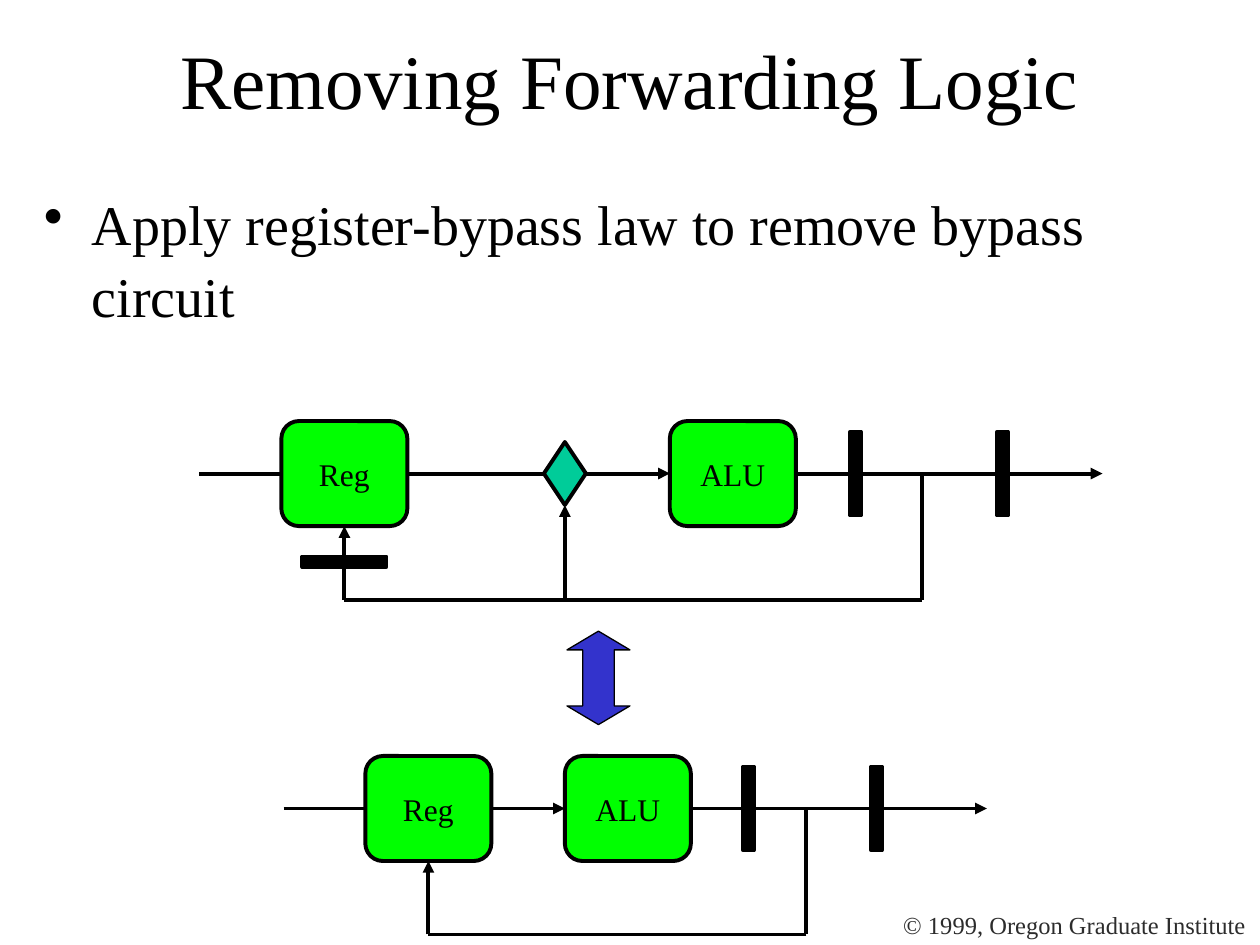
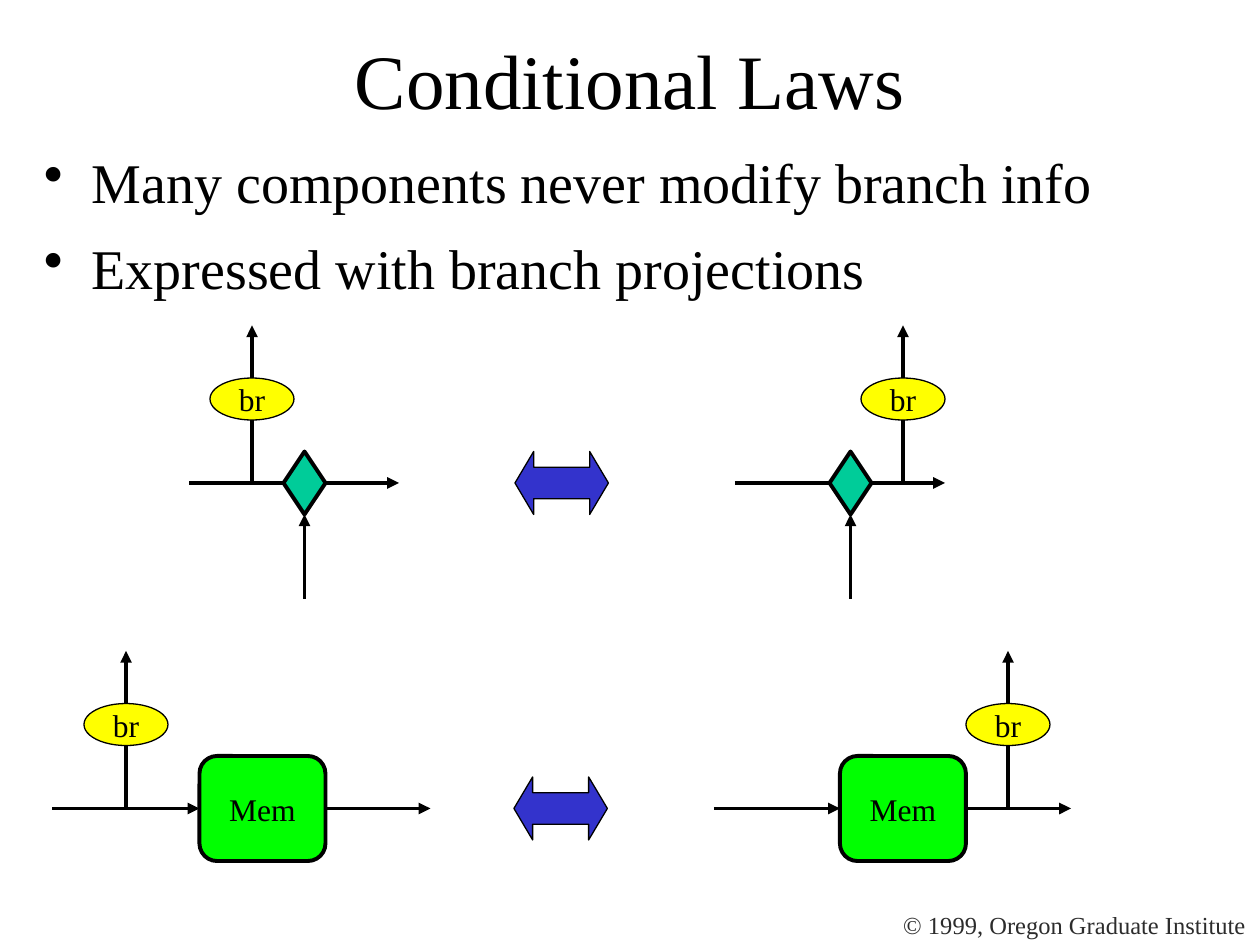
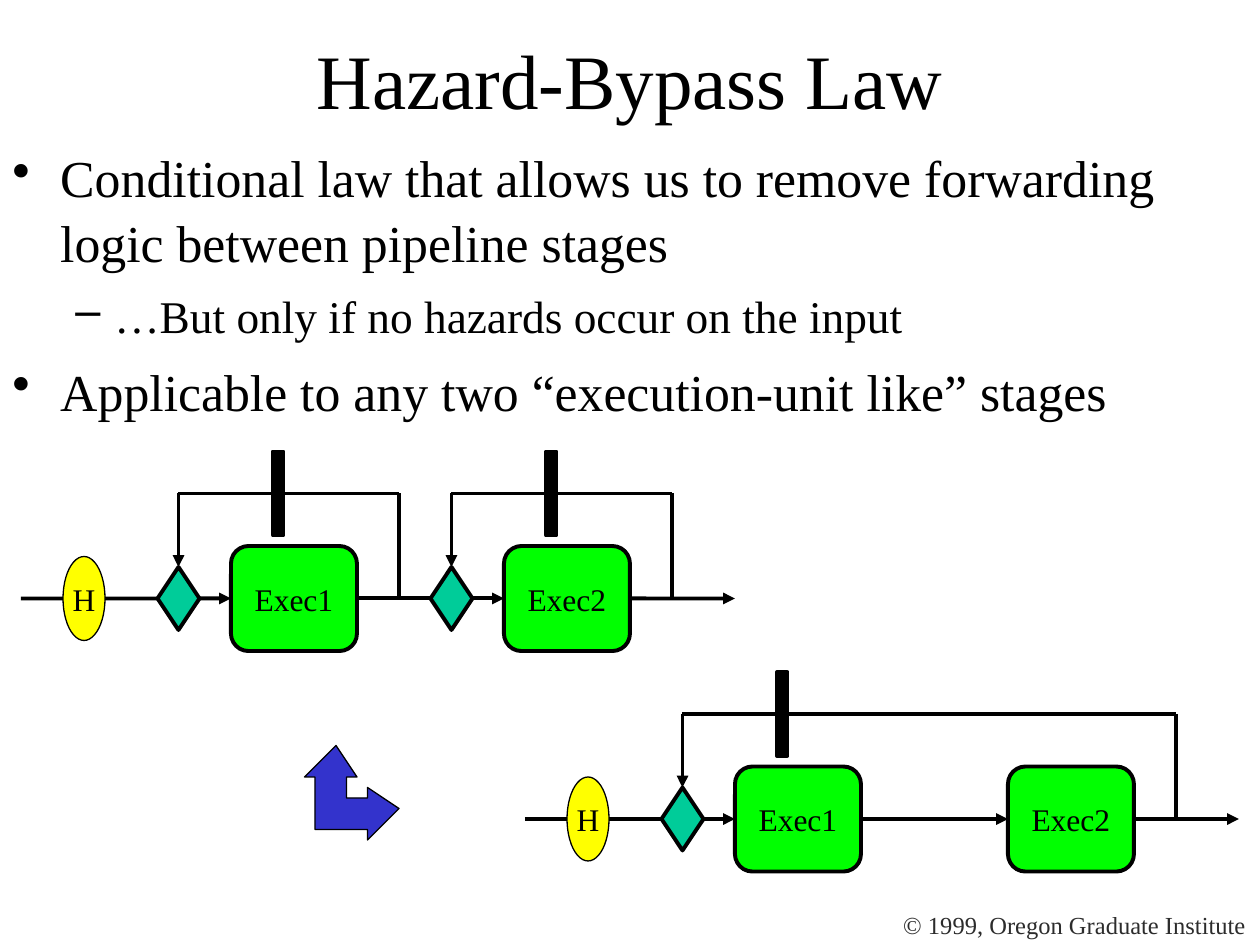
"""Build three slides on pipeline transformation laws, laid out on a 120 x 90 grid."""
from dataclasses import dataclass, field
from itertools import pairwise

from lxml import etree
from pptx import Presentation
from pptx import util as u
from pptx.dml import color
from pptx.enum import shapes, text
from pptx.oxml import ns

CELLS_PER_INCH = 12
FONT = "Times New Roman"
BLACK, GREY, GREEN, TEAL, YELLOW, BLUE = (
    "000000", "2C2C2C", "01FF01", "00CC99", "FFFF00", "3333CC")
THICK, THIN = 2.25, 0.75
PRESET = shapes.MSO_SHAPE
Point = tuple[float, float]


@dataclass(frozen=True)
class Kind:
    """Look of one kind of circuit component."""
    preset: int
    cols: float
    rows: float
    fill: str
    weight: float
    adjustments: tuple[float, ...] = ()
    has_ports: bool = False


BLOCK = Kind(PRESET.ROUNDED_RECTANGLE, 12, 10, GREEN, THICK, (0.167,), True)
MUX = Kind(PRESET.DIAMOND, 4, 6, TEAL, THICK, (), True)
LATCH = Kind(PRESET.RECTANGLE, 1, 8, BLACK, THICK)
BRANCH = Kind(PRESET.OVAL, 8, 4, YELLOW, THIN)
HAZARD = Kind(PRESET.OVAL, 4, 8, YELLOW, THIN)
EQUIVALENCE = Kind(PRESET.LEFT_RIGHT_ARROW, 8.9, 6, BLUE, THIN, (0.5, 0.297))


@dataclass(frozen=True)
class Node:
    """A component placed by its centre."""
    kind: Kind
    col: float
    row: float
    label: str = ""
    rotation: int = 0

    def ports(self) -> list[Point]:
        """Return the side middles in connection-site order."""
        dx, dy = self.kind.cols / 2, self.kind.rows / 2
        return [(self.col, self.row - dy), (self.col - dx, self.row),
                (self.col, self.row + dy), (self.col + dx, self.row)]


@dataclass(frozen=True)
class Wire:
    """A run of straight legs ending in an arrowhead."""
    points: tuple[Point, ...]


@dataclass
class Circuit:
    """Wires and the components drawn over them."""
    wires: list[Wire] = field(default_factory=list)
    nodes: list[Node] = field(default_factory=list)

    def wire(self, *points: Point) -> None:
        """Add a wire through the points."""
        self.wires.append(Wire(points))

    def stage(self, row: float, *spans: Point) -> None:
        """Add horizontal wires along one row."""
        for start, end in spans:
            self.wire((start, row), (end, row))

    def add(self, kind: Kind, row: float, *cols: float) -> None:
        """Add unlabelled components along one row."""
        self.nodes += [Node(kind, col, row) for col in cols]

    def block(self, col: float, row: float, label: str) -> None:
        """Add a labelled block."""
        self.nodes.append(Node(BLOCK, col, row, label))

    def feedback(self, source: float, target: float, row: float, level: float, port: float) -> None:
        """Lead a wire from a row through a level back to a port."""
        self.wire((source, row), (source, level), (target, level), (target, port))

    def branch_tap(self, col: float, row: float) -> None:
        """Add an upward tap with a branch projection."""
        self.wire((col, row), (col, row - 15))
        self.nodes.append(Node(BRANCH, col, row - 8, "br"))


@dataclass(frozen=True)
class Body:
    """Bulleted text with its place and sizes."""
    box: tuple[float, float, float, float]
    lines: tuple[tuple[str, int], ...]
    sizes: tuple[float, float] = (32, 28)
    spacing: float = 1.07


def rgb(hex_code: str) -> color.RGBColor:
    """Turn a hex string into a colour."""
    return color.RGBColor.from_string(hex_code)


def cells(*counts: float) -> list[u.Emu]:
    """Turn grid cells into lengths."""
    return [u.Inches(count / CELLS_PER_INCH) for count in counts]


def style_runs(paragraph, size: float, ink: str = BLACK) -> None:
    """Set font, size and colour of a paragraph's runs."""
    for run in paragraph.runs:
        run.font.name, run.font.size = FONT, u.Pt(size)
        run.font.color.rgb = rgb(ink)


def paint(shape, fill: str, weight: float) -> None:
    """Fill and outline a shape without shadow."""
    shape.shadow.inherit = False
    shape.fill.solid()
    shape.fill.fore_color.rgb = rgb(fill)
    shape.line.color.rgb = rgb(BLACK)
    shape.line.width = u.Pt(weight)


def draw_title(slide, words: str) -> None:
    """Draw the slide title."""
    frame = slide.shapes.add_textbox(*cells(9, 0, 102, 15)).text_frame
    frame.word_wrap = True
    frame.vertical_anchor = text.MSO_ANCHOR.MIDDLE
    frame.text = words
    frame.paragraphs[0].alignment = text.PP_ALIGN.CENTER
    style_runs(frame.paragraphs[0], 44)


def draw_body(slide, body: Body) -> None:
    """Draw the bulleted text."""
    frame = slide.shapes.add_textbox(*cells(*body.box)).text_frame
    frame.word_wrap = True
    frame.text = "\n".join(line for line, _ in body.lines)
    for index, (paragraph, (_, level)) in enumerate(zip(frame.paragraphs, body.lines)):
        properties = paragraph._p.get_or_add_pPr()
        margin, hanging, mark = ((0.38, 0.38, "•"), (0.81, 0.31, "–"))[level]
        properties.set("marL", str(u.Inches(margin)))
        properties.set("indent", str(-u.Inches(hanging)))
        etree.SubElement(properties, ns.qn("a:buChar")).set("char", mark)
        paragraph.level = level
        paragraph.line_spacing = body.spacing
        paragraph.space_before = u.Pt((8, 7)[level] if index else 0)
        style_runs(paragraph, body.sizes[level])


def draw_node(slide, node: Node):
    """Draw one component and return its shape."""
    kind = node.kind
    shape = slide.shapes.add_shape(kind.preset, *cells(
        node.col - kind.cols / 2, node.row - kind.rows / 2, kind.cols, kind.rows))
    paint(shape, kind.fill, kind.weight)
    shape.rotation = node.rotation
    for index, value in enumerate(kind.adjustments):
        shape.adjustments[index] = value
    if node.label:
        frame = shape.text_frame
        frame.word_wrap = False
        frame.vertical_anchor = text.MSO_ANCHOR.MIDDLE
        frame.text = node.label
        frame.paragraphs[0].alignment = text.PP_ALIGN.CENTER
        style_runs(frame.paragraphs[0], 18)
    return shape


def draw_leg(slide, start: Point, end: Point, arrow: bool):
    """Draw one straight leg of a wire."""
    leg = slide.shapes.add_connector(shapes.MSO_CONNECTOR.STRAIGHT, *cells(*start, *end))
    leg.line.color.rgb = rgb(BLACK)
    leg.line.width = u.Pt(THICK)
    if arrow:
        line = leg.line._get_or_add_ln()
        etree.SubElement(line, ns.qn("a:tailEnd")).set("type", "triangle")
    etree.SubElement(leg.element.spPr, ns.qn("a:effectLst"))
    return leg


def draw_circuit(slide, circuit: Circuit) -> None:
    """Draw wires, then components, and join their meeting ends."""
    legs = []
    for wire in circuit.wires:
        for start, end in pairwise(wire.points):
            leg = draw_leg(slide, start, end, end == wire.points[-1])
            legs.append((leg, start, end))
    ports = []
    for node in circuit.nodes:
        shape = draw_node(slide, node)
        if node.kind.has_ports:
            ports += [(port, shape, site) for site, port in enumerate(node.ports())]
    for leg, start, end in legs:
        for (col, row), shape, site in ports:
            for (x, y), connect in ((start, leg.begin_connect), (end, leg.end_connect)):
                if abs(x - col) < 0.05 and abs(y - row) < 0.05:
                    connect(shape, site)


def draw_corner_arrow(slide) -> None:
    """Draw the two-headed arrow that turns a corner."""
    first, *rest = [
        (38, 77.4), (35.4, 74.9), (35.4, 76.2), (32.9, 76.2), (32.9, 73.6), (34.1, 73.6),
        (31.6, 71), (29, 73.6), (30.2, 73.6), (30.2, 78.7), (35.4, 78.7), (35.4, 80)]
    outline = slide.shapes.build_freeform(*first, scale=u.Inches(1) / CELLS_PER_INCH)
    outline.add_line_segments(rest, close=True)
    paint(outline.convert_to_shape(), BLUE, THIN)


def put_footer_on_master(deck, slide) -> None:
    """Place the copyright line on the slide master."""
    footer = slide.shapes.add_textbox(u.Inches(7.07), u.Inches(7.17), u.Inches(2.92), u.Inches(0.34))
    footer.text_frame.word_wrap = False
    footer.text_frame.auto_size = text.MSO_AUTO_SIZE.SHAPE_TO_FIT_TEXT
    footer.text_frame.text = "© 1999, Oregon Graduate Institute"
    style_runs(footer.text_frame.paragraphs[0], 14, GREY)
    footer.element.nvSpPr.cNvPr.set("id", "99")
    deck.slide_master.element.cSld.spTree.append(footer.element)


def forwarding_circuit() -> Circuit:
    """Describe the pipeline with and without its bypass."""
    circuit = Circuit()
    row = 45.1
    circuit.stage(row, (19, 63.8), (75.8, 105))
    circuit.feedback(87.8, 32.8, row, row + 12, row + 5)
    circuit.wire((53.8, row + 12), (53.8, row + 3))
    circuit.block(32.8, row, "Reg")
    circuit.block(69.8, row, "ALU")
    circuit.add(LATCH, row, 81.5, 95.5)
    circuit.add(MUX, row, 53.8)
    circuit.nodes.append(Node(LATCH, 32.8, 53.5, rotation=270))
    circuit.nodes.append(Node(EQUIVALENCE, 57, 64.56, rotation=270))
    row = 77
    circuit.stage(row, (27, 53.8), (65.8, 94))
    circuit.feedback(76.8, 40.8, row, row + 12, row + 5)
    circuit.block(40.8, row, "Reg")
    circuit.block(59.8, row, "ALU")
    circuit.add(LATCH, row, 71.3, 83.5)
    return circuit


def conditional_circuit() -> Circuit:
    """Describe branch taps before and after a component."""
    circuit = Circuit()
    row = 46
    for start, mux, tap in ((18, 29, 24), (70, 81, 86)):
        circuit.stage(row, (start, start + 20))
        circuit.wire((mux, row + 11), (mux, row + 3))
        circuit.add(MUX, row, mux)
        circuit.branch_tap(tap, row)
    circuit.add(EQUIVALENCE, row, 53.5)
    row = 77
    for start, memory, tap in ((5, 25, 12), (68, 86, 96)):
        circuit.stage(row, (start, memory - 6), (memory + 6, memory + 16))
        circuit.block(memory, row, "Mem")
        circuit.branch_tap(tap, row)
    circuit.add(EQUIVALENCE, row, 53.4)
    return circuit


def hazard_circuit() -> Circuit:
    """Describe two execution stages with separate and shared bypass."""
    circuit = Circuit()
    for left, row, loops in ((2, 57, ((38, 17), (64, 43))), (50, 78, ((112, 65),))):
        circuit.stage(row, (left, left + 20), (left + 32, left + 46), (left + 58, left + 68))
        circuit.block(left + 26, row, "Exec1")
        circuit.block(left + 52, row, "Exec2")
        circuit.nodes.append(Node(HAZARD, left + 6, row, "H"))
        for source, mux in loops:
            circuit.feedback(source, mux, row, row - 10, row - 3)
            circuit.add(MUX, row, mux)
            circuit.add(LATCH, row - 10, mux + 9.5)
    return circuit


def main() -> None:
    """Build and save the deck."""
    deck = Presentation()
    deck.slide_width, deck.slide_height = cells(120, 90)
    pages = (
        ("Removing Forwarding Logic",
         Body((3, 17, 114, 20), (("Apply register-bypass law to remove bypass circuit", 0),)),
         forwarding_circuit()),
        ("Conditional Laws",
         Body((3, 13, 114, 17), (("Many components never modify branch info", 0),
                                 ("Expressed with branch projections", 0))),
         conditional_circuit()),
        ("Hazard-Bypass Law",
         Body((0, 13, 120, 28),
              (("Conditional law that allows us to remove forwarding logic between pipeline stages", 0),
               ("…But only if no hazards occur on the input", 1),
               ("Applicable to any two “execution-unit like” stages", 0)),
              (29.6, 25.9), 1.05),
         hazard_circuit()),
    )
    for title, body, circuit in pages:
        slide = deck.slides.add_slide(deck.slide_layouts[6])
        draw_title(slide, title)
        draw_body(slide, body)
        draw_circuit(slide, circuit)
    draw_corner_arrow(slide)
    put_footer_on_master(deck, slide)
    deck.save("out.pptx")


if __name__ == "__main__":
    main()
